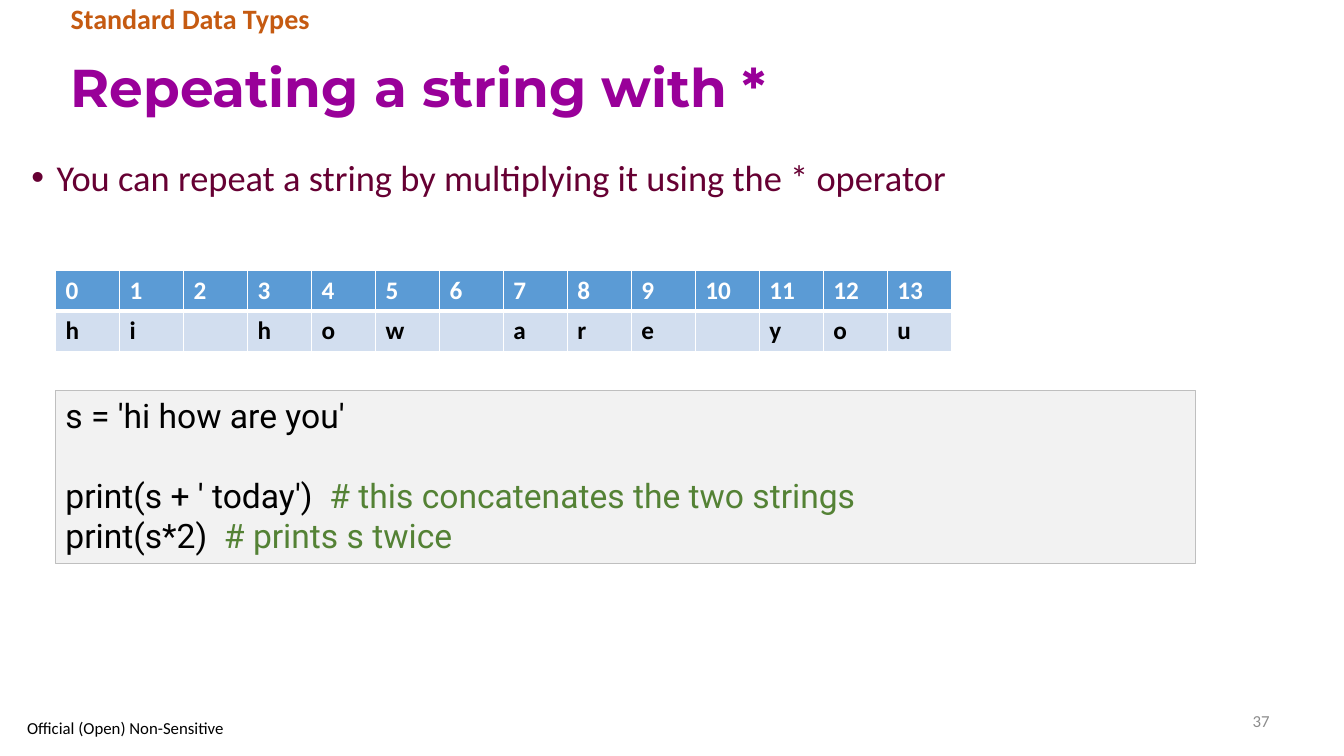
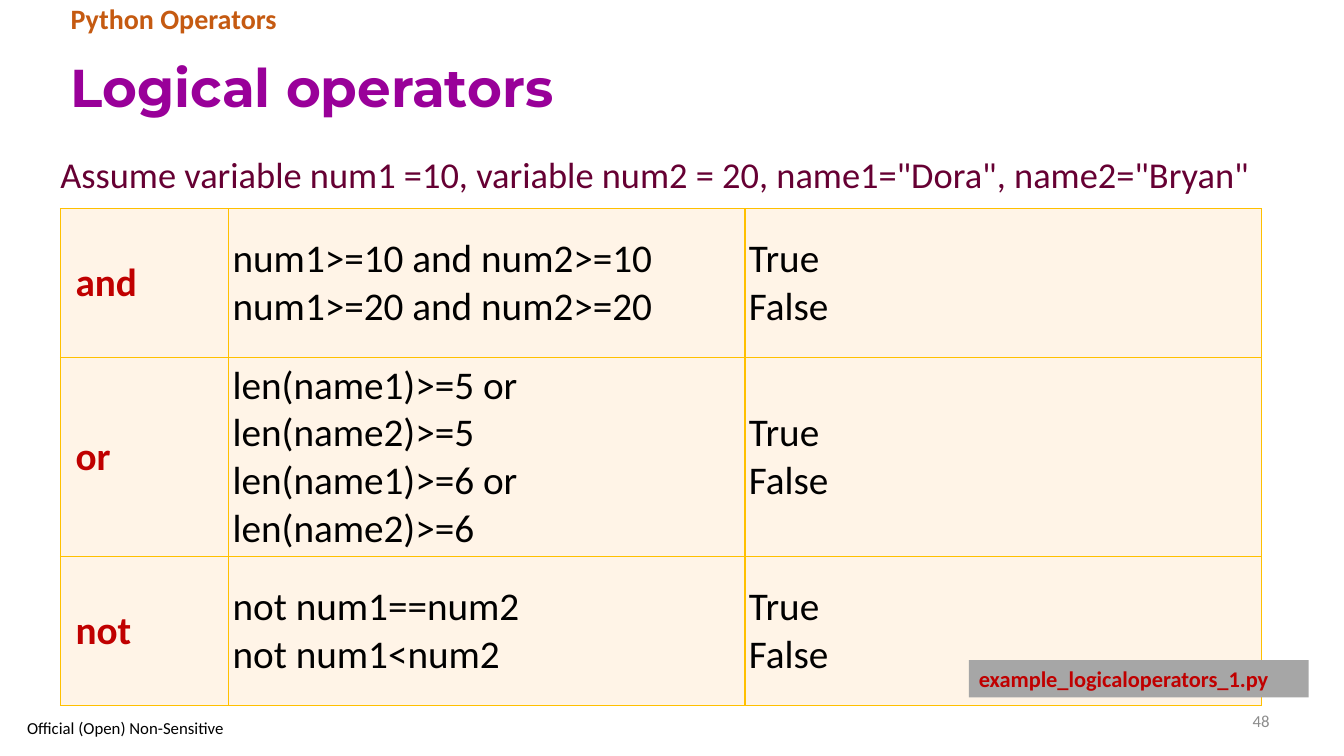
from lxml import etree
from pptx import Presentation
from pptx import util as u
from pptx.dml.color import RGBColor
from pptx.enum import shapes, text
from pptx.oxml import ns

# Shared style
PURPLE = RGBColor(0x99, 0x00, 0x99)
ORANGE = RGBColor(0xC5, 0x5A, 0x11)
PLUM = RGBColor(0x66, 0x00, 0x33)
RED = RGBColor(0xC0, 0x00, 0x00)
GREEN = RGBColor(0x54, 0x82, 0x35)
BLUE = RGBColor(0x5B, 0x9B, 0xD5)
PALE_BLUE = RGBColor(0xD2, 0xDE, 0xEF)
CREAM = RGBColor(0xFF, 0xF4, 0xE7)
GOLD = RGBColor(0xFF, 0xC0, 0x00)
BLACK = RGBColor(0x00, 0x00, 0x00)
WHITE = RGBColor(0xFF, 0xFF, 0xFF)
PALE_GREY = RGBColor(0xF2, 0xF2, 0xF2)
LINE_GREY = RGBColor(0xBF, 0xBF, 0xBF)
TAG_GREY = RGBColor(0xA6, 0xA6, 0xA6)
NUMBER_GREY = RGBColor(0x8C, 0x8C, 0x8C)
BODY, HEADING, CODE = "Calibri", "Montserrat", "Roboto"
LEFT, RIGHT = text.PP_ALIGN.LEFT, text.PP_ALIGN.RIGHT
TOP, MIDDLE = text.MSO_ANCHOR.TOP, text.MSO_ANCHOR.MIDDLE
TITLE_ONLY_BODY, TITLE_TWO_BODIES = 1, 3

prs = Presentation()
prs.slide_width, prs.slide_height = u.Inches(13.33), u.Inches(7.5)


def area(left, top, width, height):
    """Turn percentages of the slide into a box of lengths."""
    w, h = prs.slide_width / 100, prs.slide_height / 100
    return int(left * w), int(top * h), int(width * w), int(height * h)


def style(p, size, color, bold=False, font=BODY, align=LEFT):
    p.alignment = align
    for r in p.runs:
        r.font.size, r.font.name, r.font.bold = u.Pt(size), font, bold
        r.font.color.rgb = color


def write(tf, lines, *look, anchor=TOP, **more):
    tf.text = "\n".join(lines)
    tf.word_wrap = True
    tf.vertical_anchor = anchor
    for p in tf.paragraphs:
        style(p, *look, **more)


def fill_placeholder(sp, box, line, *look, bullet=False, spacing=1.0, **more):
    sp.left, sp.top, sp.width, sp.height = box
    tf = sp.text_frame
    write(tf, [line], *look, **more)
    tf.auto_size = text.MSO_AUTO_SIZE.NONE
    p = tf.paragraphs[0]
    p.space_before, p.line_spacing = u.Pt(0), spacing
    pPr = p._p.get_or_add_pPr()
    indent = u.Inches(0.25) if bullet else 0
    pPr.set("marL", str(indent))
    pPr.set("indent", str(-indent))
    if bullet:
        etree.SubElement(pPr, ns.qn("a:buChar")).set("char", "•")
    else:
        etree.SubElement(pPr, ns.qn("a:buNone"))


def add_text(s, box, line, *look, **more):
    sp = s.shapes.add_textbox(*box)
    write(sp.text_frame, [line], *look, **more)
    return sp


def add_panel(s, box, fill, line=None):
    sp = s.shapes.add_shape(shapes.MSO_SHAPE.RECTANGLE, *box)
    sp.shadow.inherit = False
    sp.fill.solid()
    sp.fill.fore_color.rgb = fill
    if line is None:
        sp.line.fill.background()
    else:
        sp.line.color.rgb, sp.line.width = line, u.Pt(0.75)
    return sp


def add_grid(s, box, col_shares, row_shares):
    table = s.shapes.add_table(len(row_shares), len(col_shares), *box).table
    table.first_row = table.horz_banding = False
    for col, share in zip(table.columns, col_shares):
        col.width = int(box[2] * share)
    for row, share in zip(table.rows, row_shares):
        row.height = int(box[3] * share)
    return table


def paint_cell(cell, fill, border, **widths):
    """Border every side with 1 pt unless a width is given, then fill."""
    tcPr = cell._tc.get_or_add_tcPr()
    for side in "LRTB":
        ln = etree.SubElement(tcPr, ns.qn("a:ln" + side))
        ln.set("w", str(u.Pt(widths.get(side, 1))))
        solid = etree.SubElement(ln, ns.qn("a:solidFill"))
        etree.SubElement(solid, ns.qn("a:srgbClr")).set("val", str(border))
    cell.fill.solid()
    cell.fill.fore_color.rgb = fill


def start_slide(layout, topic, title, number):
    s = prs.slides.add_slide(prs.slide_layouts[layout])
    # Title and topic above it
    fill_placeholder(s.shapes.title, area(4.5, 5.47, 90.7, 12.93), title, 38, PURPLE,
                     True, font=HEADING, spacing=0.9, anchor=MIDDLE)
    fill_placeholder(s.placeholders[1], area(4.5, 0, 77.57, 5.47), topic, 20, ORANGE,
                     True, spacing=0.9)
    # Footer
    add_text(s, area(70.67, 92.67, 24.53, 5.33), number, 12, NUMBER_GREY,
             align=RIGHT, anchor=MIDDLE)
    add_text(s, area(1.28, 94.53, 16.8, 3.47), "Official (Open) Non-Sensitive",
             12, BLACK, anchor=MIDDLE)
    return s


def letter_table(s, box, phrase):
    table = add_grid(s, box, [1 / len(phrase)] * len(phrase), [0.5, 0.5])
    for i, letter in enumerate(phrase):
        head, cell = table.cell(0, i), table.cell(1, i)
        paint_cell(head, BLUE, WHITE, B=3)
        paint_cell(cell, PALE_BLUE, WHITE, T=3)
        write(head.text_frame, [str(i)], 18, WHITE, True)
        write(cell.text_frame, [letter.strip()], 18, BLACK, True)


def code_panel(s, box, code):
    """Each line is code, comment and the space before it in points."""
    tf = add_panel(s, box, PALE_GREY, LINE_GREY).text_frame
    tf.word_wrap, tf.vertical_anchor = True, TOP
    for i, (statement, comment, gap) in enumerate(code):
        p = tf.paragraphs[0] if i == 0 else tf.add_paragraph()
        p.space_before = u.Pt(gap)
        p.add_run().text = statement
        if comment:
            p.add_run().text = comment
        style(p, 24, BLACK, font=CODE)
        for r in p.runs[1:]:
            r.font.color.rgb = GREEN


def operator_table(s, box, rows):
    table = add_grid(s, box, [0.14, 0.43, 0.43], [0.3, 0.4, 0.3])
    for i, row in enumerate(rows):
        for j, lines in enumerate(row):
            cell = table.cell(i, j)
            paint_cell(cell, CREAM, GOLD)
            write(cell.text_frame, lines, 28, BLACK if j else RED, j == 0)
            cell.vertical_anchor = MIDDLE
            inset = u.Inches(0.04 if j else 0.15)
            cell.margin_left = cell.margin_right = inset
            cell.margin_top = cell.margin_bottom = inset


def string_slide():
    s = start_slide(TITLE_TWO_BODIES, "Standard Data Types",
                    "Repeating a string with *", "37")
    fill_placeholder(s.placeholders[2], area(1.58, 19.87, 97.22, 15.87),
                     "You can repeat a string by multiplying it using the * operator",
                     26, PLUM, bullet=True)
    code_panel(s, area(4.13, 51.6, 84.85, 22.93), [
        ("s = 'hi how are you'", "", 0),
        ("print(s + ' today')  ", "# this concatenates the two strings", 28),
        ("print(s*2)  ", "# prints s twice", 0)])
    letter_table(s, area(4.13, 35.73, 66.69, 10.8), "hi how are you")


def operator_slide():
    s = start_slide(TITLE_ONLY_BODY, "Python Operators", "Logical operators", "48")
    operator_table(s, area(4.5, 27.6, 89.35, 65.73), [
        (["and"], ["num1>=10 and num2>=10", "num1>=20 and num2>=20"], ["True", "False"]),
        (["or"], ["len(name1)>=5 or len(name2)>=5", "len(name1)>=6 or len(name2)>=6"],
         ["True", "False"]),
        (["not"], ["not num1==num2", "not num1<num2"], ["True", "False"])])
    # Given values
    given = add_text(s, area(3.75, 19.47, 90.77, 7.2),
                     'Assume variable num1 =10, variable num2 = 20, name1="Dora", name2="Bryan"',
                     26, PLUM)
    given.text_frame.word_wrap = False
    # Example file tag
    tag = add_panel(s, area(72.09, 87.33, 25.28, 4.93), TAG_GREY)
    write(tag.text_frame, ["example_logicaloperators_1.py"], 16, RED, True, anchor=MIDDLE)


def main():
    string_slide()
    operator_slide()
    prs.save("out.pptx")


if __name__ == "__main__":
    main()
